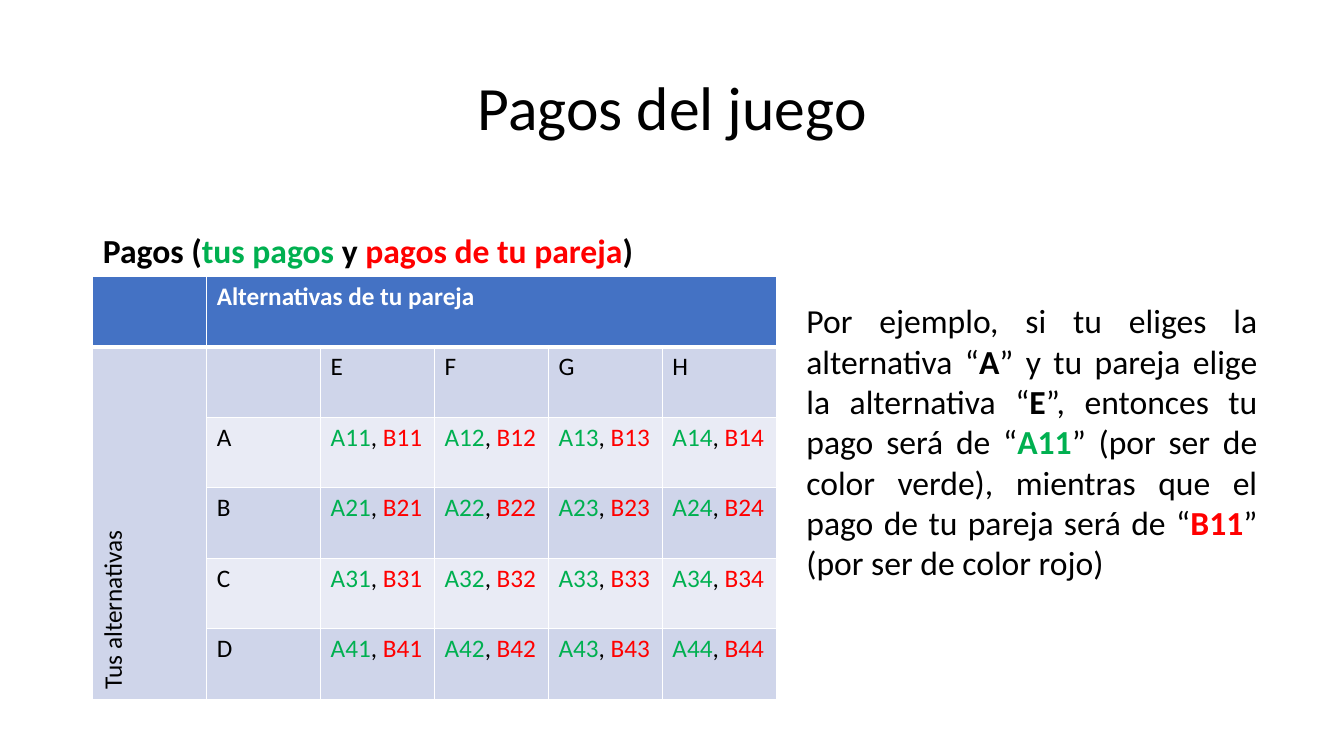
"""Build the slide that explains the payoffs of a two-player game."""
import dataclasses

import lxml.etree
import pptx
import pptx.dml.color
import pptx.enum.text
import pptx.oxml.ns
import pptx.util

Inches = pptx.util.Inches
Align = pptx.enum.text.PP_ALIGN
Anchor = pptx.enum.text.MSO_ANCHOR
qn = pptx.oxml.ns.qn


@dataclasses.dataclass(frozen=True)
class Theme:
    font: str = "Calibri"
    black: str = "000000"
    white: str = "FFFFFF"
    own: str = "00B050"
    partner: str = "FF0000"
    header: str = "4472C4"
    bands: tuple = ("E9EBF5", "CFD5EA")
    title_size: int = 44
    text_size: int = 24
    table_size: int = 18
    border: int = 1
    header_border: int = 3


class SlideBuilder:
    def __init__(self, slide, theme):
        self.slide = slide
        self.theme = theme

    def add_runs(self, paragraph, runs, size):
        for text, color, bold in runs:
            run = paragraph.add_run()
            run.text = text
            run.font.name = self.theme.font
            run.font.size = pptx.util.Pt(size)
            run.font.bold = bold
            run.font.color.rgb = pptx.dml.color.RGBColor.from_string(color)

    def placeholder(self, shape, box, runs, size, anchor, align, space_before=0):
        shape.left, shape.top, shape.width, shape.height = map(Inches, box)
        frame = shape.text_frame
        frame.auto_size = pptx.enum.text.MSO_AUTO_SIZE.NONE
        frame.vertical_anchor = anchor
        paragraph = frame.paragraphs[0]
        paragraph.alignment = align
        paragraph.line_spacing = 0.9
        paragraph.space_before = pptx.util.Pt(space_before)
        properties = paragraph._p.get_or_add_pPr()
        properties.set("marL", "0")
        properties.set("indent", "0")
        lxml.etree.SubElement(properties, qn("a:buNone"))
        self.add_runs(paragraph, runs, size)

    def text_box(self, box, runs, size):
        shape = self.slide.shapes.add_textbox(*map(Inches, box))
        frame = shape.text_frame
        frame.word_wrap = True
        frame.auto_size = pptx.enum.text.MSO_AUTO_SIZE.SHAPE_TO_FIT_TEXT
        paragraph = frame.paragraphs[0]
        paragraph.alignment = Align.JUSTIFY
        self.add_runs(paragraph, runs, size)

    def cell_borders(self, cell, row):
        heavy_side = {0: "B", 1: "T"}.get(row)
        properties = cell._tc.get_or_add_tcPr()
        for side in "LRTB":
            width = self.theme.header_border if side == heavy_side else self.theme.border
            line = lxml.etree.SubElement(
                properties, qn(f"a:ln{side}"), w=str(pptx.util.Pt(width)))
            fill = lxml.etree.SubElement(line, qn("a:solidFill"))
            lxml.etree.SubElement(fill, qn("a:srgbClr"), val=self.theme.white)

    def table(self, left, top, column_width, row_height, rows):
        count = len(rows[0])
        table = self.slide.shapes.add_table(
            len(rows), count, Inches(left), Inches(top),
            Inches(column_width * count), Inches(row_height * len(rows))).table
        for row, contents in enumerate(rows):
            for column, runs in enumerate(contents):
                cell = table.cell(row, column)
                self.cell_borders(cell, row)
                color = self.theme.bands[row % 2] if row else self.theme.header
                cell.fill.solid()
                cell.fill.fore_color.rgb = pptx.dml.color.RGBColor.from_string(color)
                self.add_runs(cell.text_frame.paragraphs[0], runs, self.theme.table_size)
        return table


theme = Theme()
presentation = pptx.Presentation()
presentation.slide_width = Inches(13.33)
presentation.slide_height = Inches(7.5)
slide = presentation.slides.add_slide(presentation.slide_layouts[1])
builder = SlideBuilder(slide, theme)


def plain(text, color=theme.black):
    return (text, color, False)


def strong(text, color=theme.black):
    return (text, color, True)


builder.placeholder(
    slide.shapes.title, (0.92, 0.37, 11.5, 1.45), [plain("Pagos del juego")],
    theme.title_size, Anchor.MIDDLE, Align.CENTER)
builder.placeholder(
    slide.placeholders[1], (0.92, 1.84, 8.04, 0.9),
    [strong("Pagos ("), strong("tus pagos ", theme.own), strong("y "),
     strong("pagos de tu pareja", theme.partner), strong(")")],
    theme.text_size, Anchor.BOTTOM, Align.LEFT, space_before=10)

own_choices, partner_choices = "ABCD", "EFGH"
header_row = [[], [strong("Alternativas de tu pareja", theme.white)], [], [], [], []]
choice_row = [[plain("Tus alternativas")], []] + [[plain(name)] for name in partner_choices]
payoff_rows = [
    [[], [plain(name)]] + [
        [plain(f"A{row}{column}", theme.own), plain(", "),
         plain(f"B{row}{column}", theme.partner)]
        for column in range(1, len(partner_choices) + 1)]
    for row, name in enumerate(own_choices, start=1)]
payoffs = builder.table(0.92, 2.74, 1.13, 0.7, [header_row, choice_row] + payoff_rows)
payoffs.cell(0, 1).merge(payoffs.cell(0, 5))
side_label = payoffs.cell(1, 0)
side_label.merge(payoffs.cell(5, 0))
side_label._tc.get_or_add_tcPr().set("vert", "vert270")

builder.text_box(
    (7.9, 2.93, 4.67, 2.93),
    [plain("Por ejemplo, si tu eliges la alternativa “"), strong("A"),
     plain("” y tu pareja elige la alternativa “"), strong("E"),
     plain("”, entonces tu pago será de “"), strong("A11", theme.own),
     plain("” (por ser de color verde), mientras que el pago de tu pareja será de “"),
     strong("B11", theme.partner), plain("” (por ser de color rojo)")],
    theme.text_size)

presentation.save("out.pptx")
